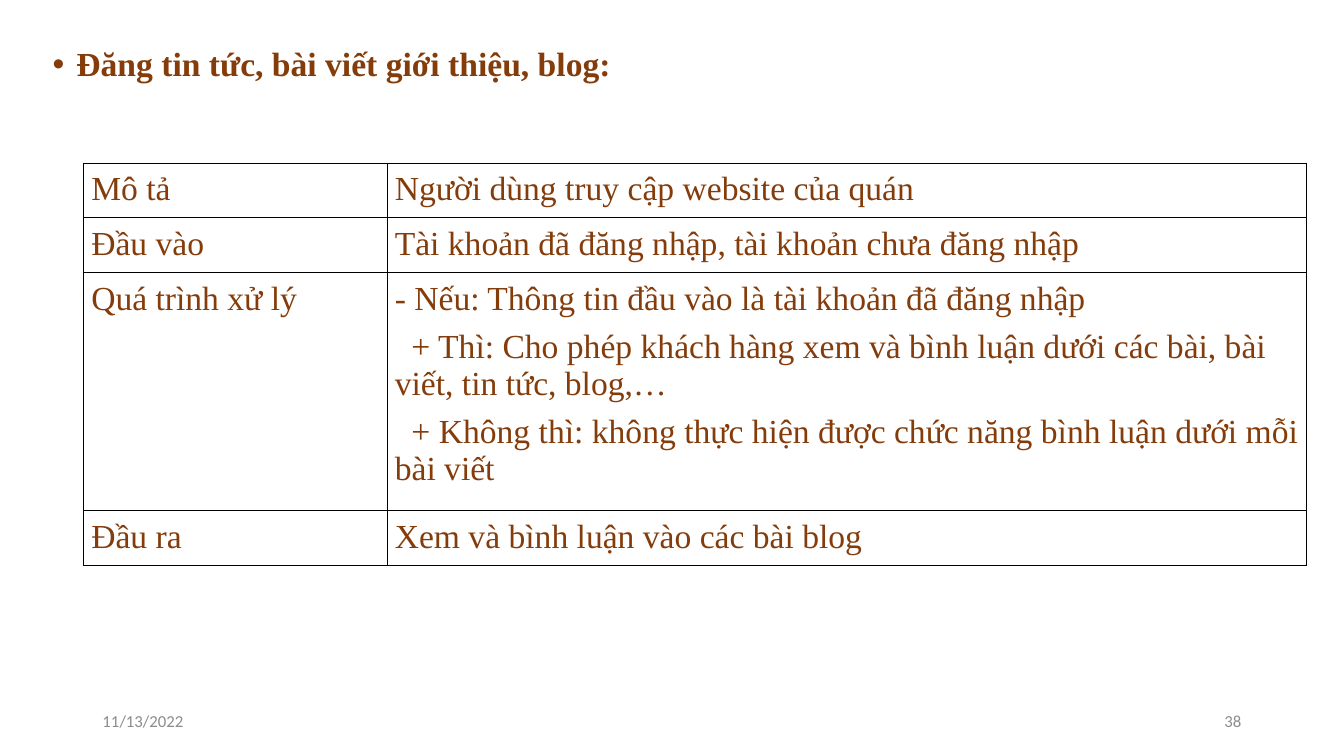
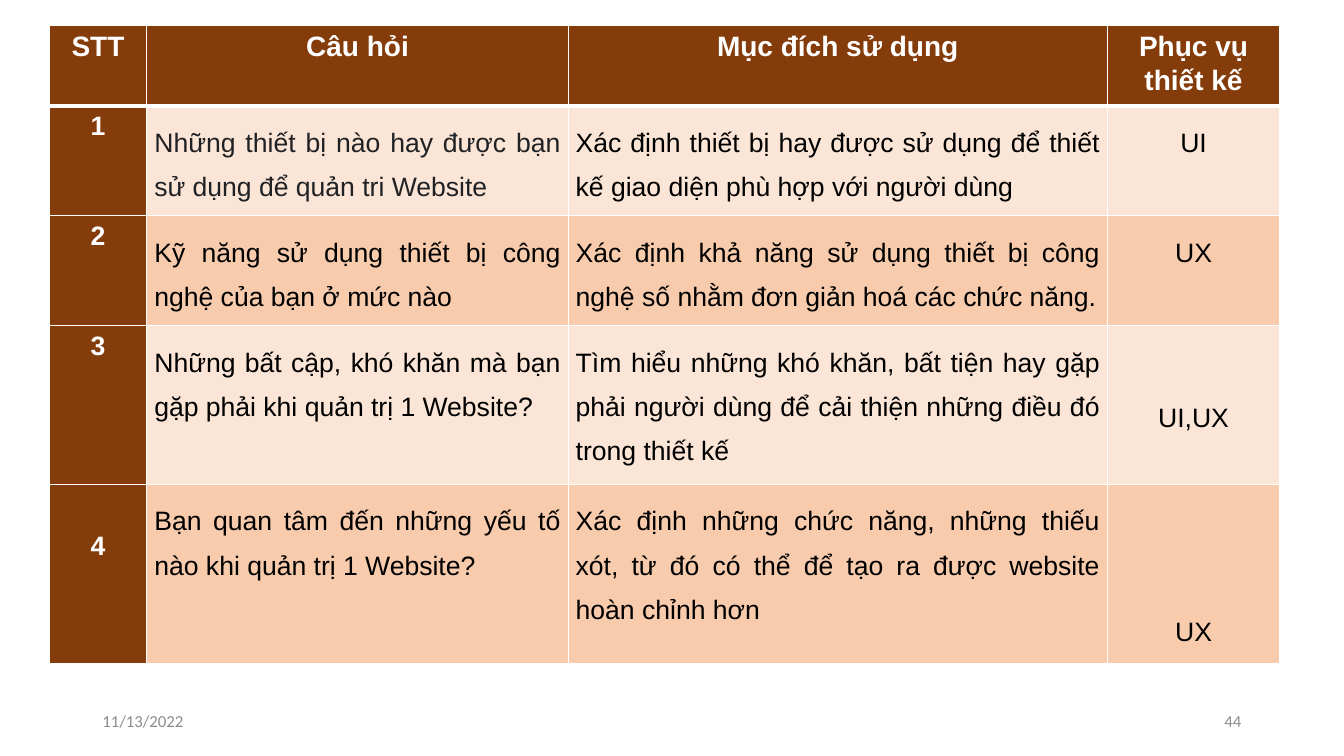
from copy import deepcopy
from dataclasses import dataclass

from lxml import etree
from pptx import Presentation
from pptx import util as u
from pptx.dml.color import RGBColor
from pptx.enum import shapes, text
from pptx.oxml.ns import qn


@dataclass(frozen=True)
class Theme:
    brown: str = "843C0B"
    peach: str = "F8CBAD"
    cream: str = "FBE5D6"
    white: str = "FFFFFF"
    black: str = "000000"
    ink: str = "202124"
    grey: str = "8C8C8C"
    serif: str = "Times New Roman"
    sans: str = "Arial"
    footer: str = "Calibri"
    large: int = 24
    header: int = 20
    body: int = 19
    small: int = 12


theme = Theme()
LEFT, CENTER, RIGHT, JUSTIFY = (
    text.PP_ALIGN.LEFT, text.PP_ALIGN.CENTER, text.PP_ALIGN.RIGHT, text.PP_ALIGN.JUSTIFY)


def write(para, words, para_format, name, size, color, bold=False):
    """Put one formatted span of words into a paragraph."""
    for key, value in para_format.items():
        setattr(para, key, value)
    span = para.add_run()
    span.text = words
    for key, value in {"name": name, "size": u.Pt(size), "bold": bold}.items():
        setattr(span.font, key, value)
    span.font.color.rgb = RGBColor.from_string(color)


def format_cell(cell, inset, color, widths, fill=None, drop=0):
    """Set the insets, the borders (points per side) and the fill of a cell."""
    for side in ("left", "right", "top", "bottom"):
        setattr(cell, f"margin_{side}", u.Cm(inset))
    cell.margin_top = u.Cm(inset + drop)
    properties = cell._tc.get_or_add_tcPr()
    for side in "LRTB":
        line = etree.SubElement(properties, qn(f"a:ln{side}"), w=str(u.Pt(widths.get(side, 1))))
        solid = etree.SubElement(line, qn("a:solidFill"))
        etree.SubElement(solid, qn("a:srgbClr"), val=color)
    if fill:
        cell.fill.solid()
        cell.fill.fore_color.rgb = RGBColor.from_string(fill)
    else:
        cell.fill.background()


deck = Presentation()
deck.slide_width, deck.slide_height = u.Cm(33.87), u.Cm(19.05)

# Pages with date and page number
FOOTERS = {
    shapes.PP_PLACEHOLDER.DATE: (2.33, LEFT),
    shapes.PP_PLACEHOLDER.SLIDE_NUMBER: (23.92, RIGHT),
}
TITLE_ONLY, BLANK = 5, 6
pages = []
for layout_index, number in ((TITLE_ONLY, "38"), (BLANK, "44")):
    page = deck.slides.add_slide(deck.slide_layouts[layout_index])
    for holder in page.slide_layout.placeholders:
        kind = holder.placeholder_format.type
        if kind not in FOOTERS:
            continue
        left, alignment = FOOTERS[kind]
        page.shapes.element.append(deepcopy(holder.element))
        box = page.shapes[-1]
        box.left, box.top, box.width, box.height = u.Cm(left), u.Cm(17.66), u.Cm(7.62), u.Cm(1.01)
        box.text_frame.clear()
        box.text_frame.vertical_anchor = text.MSO_ANCHOR.MIDDLE
        words = "11/13/2022" if kind == shapes.PP_PLACEHOLDER.DATE else number
        write(box.text_frame.paragraphs[0], words, {"alignment": alignment},
              theme.footer, theme.small, theme.grey)
    pages.append(page)
feature_page, survey_page = pages

# Feature page: bulleted title
title = feature_page.shapes.title
title.left, title.top, title.width, title.height = u.Cm(1.07), u.Cm(0.8), u.Cm(32), u.Cm(1.6)
frame = title.text_frame
for key, value in {"word_wrap": True, "auto_size": text.MSO_AUTO_SIZE.NONE,
                   "vertical_anchor": text.MSO_ANCHOR.MIDDLE}.items():
    setattr(frame, key, value)
para = frame.paragraphs[0]
bullet_holder = para._p.get_or_add_pPr()
etree.SubElement(bullet_holder, qn("a:buFont"), typeface=theme.sans)
etree.SubElement(bullet_holder, qn("a:buChar"), char="•")
write(para, "Đăng tin tức, bài viết giới thiệu, blog:", {"alignment": LEFT},
      theme.serif, theme.large, theme.brown, bold=True)

# Feature page: description table
FEATURE = [
    (1.38, "Mô tả", ["Người dùng truy cập website của quán"]),
    (1.38, "Đầu vào", ["Tài khoản đã đăng nhập, tài khoản chưa đăng nhập"]),
    (6.0, "Quá trình xử lý", [
        "- Nếu: Thông tin đầu vào là tài khoản đã đăng nhập",
        "+ Thì: Cho phép khách hàng xem và bình luận dưới các bài, bài viết, tin tức, blog,…",
        "+ Không thì: không thực hiện được chức năng bình luận dưới mỗi bài viết",
    ]),
    (1.38, "Đầu ra", ["Xem và bình luận vào các bài blog"]),
]
widths = (7.65, 23.17)
table = feature_page.shapes.add_table(
    len(FEATURE), len(widths), u.Cm(2.11), u.Cm(4.11),
    u.Cm(sum(widths)), u.Cm(sum(row[0] for row in FEATURE))).table
table.first_row = table.horz_banding = False
for column, width in zip(table.columns, widths):
    column.width = u.Cm(width)
for row, (height, label, lines) in zip(table.rows, FEATURE):
    row.height = u.Cm(height)
    for cell, content in zip(row.cells, ([label], lines)):
        format_cell(cell, 0.19, theme.black, {})
        for index, words in enumerate(content):
            para = cell.text_frame.add_paragraph() if index else cell.text_frame.paragraphs[0]
            if words.startswith("+"):
                para._p.get_or_add_pPr().set("indent", str(u.Cm(0.42)))
            write(para, words, {"space_after": u.Pt(8)}, theme.serif, theme.large, theme.brown)

# Survey page: question table, with the drop of the number and of the purpose in each row
HEADERS = ("STT", "Câu hỏi", "Mục đích sử dụng", "Phục vụ thiết kế")
SURVEY = [
    (2.77, 0, 0, "Những thiết bị nào hay được bạn sử dụng để quản tri Website",
     "Xác định thiết bị hay được sử dụng để thiết kế giao diện phù hợp với người dùng", "UI"),
    (2.77, 0, 0, "Kỹ năng sử dụng thiết bị công nghệ của bạn ở mức nào",
     "Xác định khả năng sử dụng thiết bị công nghệ số nhằm đơn giản hoá các chức năng.", "UX"),
    (4.0, 0, 1.4, "Những bất cập, khó khăn mà bạn gặp phải khi quản trị 1 Website?",
     "Tìm hiểu những khó khăn, bất tiện hay gặp phải người dùng để cải thiện những điều đó "
     "trong thiết kế", "UI,UX"),
    (4.52, 1.04, 2.8, "Bạn quan tâm đến những yếu tố nào khi quản trị 1 Website?",
     "Xác định những chức năng, những thiếu xót, từ đó có thể để tạo ra được website "
     "hoàn chỉnh hơn", "UX"),
]
widths = (2.46, 10.62, 13.59, 4.34)
header_height = 2.03
table = survey_page.shapes.add_table(
    len(SURVEY) + 1, len(widths), u.Cm(1.24), u.Cm(0.64),
    u.Cm(sum(widths)), u.Cm(header_height + sum(row[0] for row in SURVEY))).table
table.horz_banding = False
for column, width in zip(table.columns, widths):
    column.width = u.Cm(width)

label_format = {"alignment": CENTER, "line_spacing": 1.07, "space_after": u.Pt(8)}
table.rows[0].height = u.Cm(header_height)
for cell, words in zip(table.rows[0].cells, HEADERS):
    format_cell(cell, 0.1, theme.white, {"B": 3}, theme.brown)
    write(cell.text_frame.paragraphs[0], words, label_format,
          theme.sans, theme.header, theme.white, bold=True)

for number, (height, number_drop, purpose_drop, *answers) in enumerate(SURVEY, 1):
    row = table.rows[number]
    row.height = u.Cm(height)
    borders = {"T": 3} if number == 1 else {}
    number_cell, *answer_cells = row.cells
    format_cell(number_cell, 0.1, theme.white, borders, theme.brown, number_drop)
    write(number_cell.text_frame.paragraphs[0], str(number), label_format,
          theme.sans, theme.body, theme.white, bold=True)
    band = theme.cream if number % 2 else theme.peach
    for index, (cell, words) in enumerate(zip(answer_cells, answers)):
        last = index == len(answers) - 1
        format_cell(cell, 0.19, theme.white, borders, band, purpose_drop if last else 0)
        answer_format = {"alignment": CENTER if last else JUSTIFY,
                         "line_spacing": 1.5, "space_after": u.Pt(8)}
        color = theme.ink if number == 1 and index == 0 else theme.black
        write(cell.text_frame.paragraphs[0], words, answer_format,
              theme.sans, theme.body, color)

deck.save("out.pptx")
